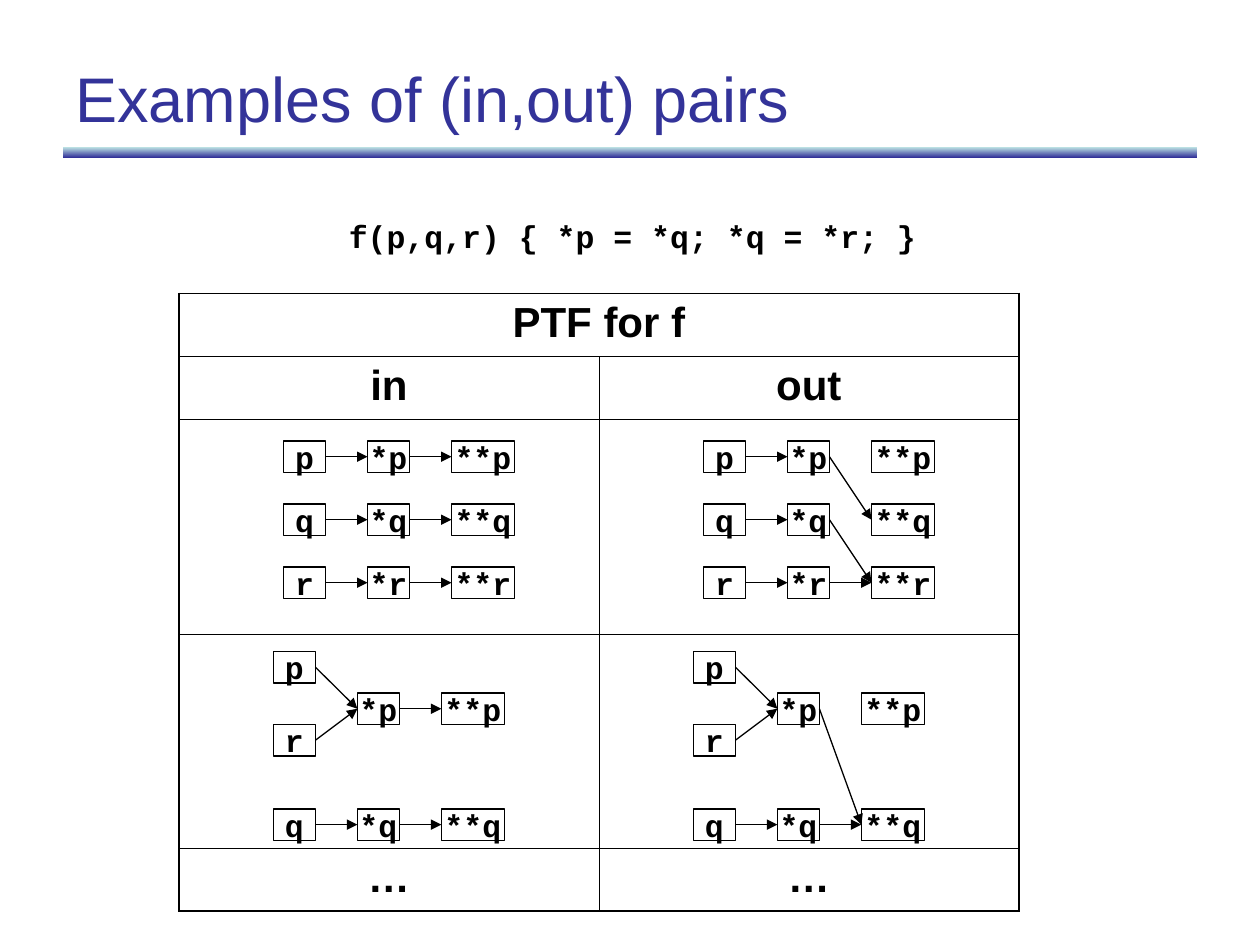
from dataclasses import dataclass

from lxml import etree
from pptx import Presentation
from pptx import util as u
from pptx.dml.color import RGBColor
from pptx.enum import shapes, text
from pptx.oxml.ns import qn

BLACK = "000000"
NAVY = "333399"
COL_PITCH = 2 / 3
CELL_WIDTH = 10 / 3
NODE_WIDTHS = (1 / 3, 1 / 3, 1 / 2)
NODE_HEIGHT = 0.25
ROW_HEIGHTS = (0.5, 0.5, 1.7, 1.7, 0.5)
TABLE_TEXT = (("PTF for f", ""), ("in", "out"), ("", ""), ("", ""), ("…", "…"))


@dataclass
class Diagram:
    left: float
    tops: dict[str, float]
    edges: tuple[str, ...]


def rgb(code: str) -> RGBColor:
    return RGBColor.from_string(code)


def style(p, size: float, font: str, color: str = BLACK, bold: bool = True) -> None:
    p.font.size = u.Pt(size)
    p.font.name = font
    p.font.bold = bold
    p.font.color.rgb = rgb(color)


def add_text(s, left: float, top: float, width: float, height: float, content: str):
    tf = s.shapes.add_textbox(*map(u.Inches, (left, top, width, height))).text_frame
    tf.word_wrap = True
    tf.text = content
    return tf


def add_rule(s) -> None:
    sp = s.shapes.add_shape(shapes.MSO_SHAPE.RECTANGLE, *map(u.Inches, (0.5, 1.17, 9, 0.08)))
    sp.shadow.inherit = False
    sp.line.fill.background()
    sp.fill.gradient()
    sp.fill.gradient_angle = 270
    for stop, color in zip(sp.fill.gradient_stops, ("BBE0E3", NAVY)):
        stop.color.rgb = rgb(color)


def set_borders(cell, **widths: float) -> None:
    tc_pr = cell._tc.get_or_add_tcPr()
    for side, width in widths.items():
        ln = etree.SubElement(tc_pr, qn(f"a:ln{side}"), w=str(u.Pt(width)))
        fill = etree.SubElement(ln, qn("a:solidFill"))
        etree.SubElement(fill, qn("a:srgbClr"), val=BLACK)


def add_ptf_table(s) -> None:
    rows, cols = len(ROW_HEIGHTS), 2
    size = (1.42, 2.33, cols * CELL_WIDTH, sum(ROW_HEIGHTS))
    table = s.shapes.add_table(rows, cols, *map(u.Inches, size)).table
    table.first_row = table.horz_banding = False
    for column in table.columns:
        column.width = u.Inches(CELL_WIDTH)
    for i, height in enumerate(ROW_HEIGHTS):
        table.rows[i].height = u.Inches(height)
        for j in range(cols):
            cell = table.cell(i, j)
            outer = {"L": j == 0, "R": j == cols - 1 or i == 0, "T": i == 0, "B": i == rows - 1}
            set_borders(cell, **{side: 1.08 if edge else 0.45 for side, edge in outer.items()})
            cell.fill.background()
            if TABLE_TEXT[i][j]:
                cell.text = TABLE_TEXT[i][j]
                p = cell.text_frame.paragraphs[0]
                p.alignment = text.PP_ALIGN.CENTER
                p.space_before = u.Pt(6)
                style(p, 24, "Arial")
    table.cell(0, 0).merge(table.cell(0, cols - 1))


def add_node(group, name: str, left: float, top: float):
    depth = name.count("*")
    sp = group.shapes.add_shape(
        shapes.MSO_SHAPE.RECTANGLE, u.Inches(left + depth * COL_PITCH), u.Inches(top),
        u.Inches(NODE_WIDTHS[depth]), u.Inches(NODE_HEIGHT))
    sp.shadow.inherit = False
    sp.fill.background()
    sp.line.color.rgb = rgb(BLACK)
    sp.line.width = u.Pt(0.75)
    tf = sp.text_frame
    tf.word_wrap = False
    tf.vertical_anchor = text.MSO_ANCHOR.MIDDLE
    p = tf.paragraphs[0]
    p.text = name
    p.alignment = text.PP_ALIGN.CENTER
    style(p, 18, "Courier New")
    return sp


def add_arrow(group, source, target) -> None:
    line = group.shapes.add_connector(shapes.MSO_CONNECTOR.STRAIGHT, 0, 0, 0, 0)
    line.begin_connect(source, 3)
    line.end_connect(target, 1)
    line.line.color.rgb = rgb(BLACK)
    line.line.width = u.Pt(0.75)
    etree.SubElement(line.line._get_or_add_ln(), qn("a:tailEnd"), type="triangle")
    etree.SubElement(line._element.spPr, qn("a:effectLst"))


def add_diagram(s, diagram: Diagram) -> None:
    group = s.shapes.add_group_shape()
    nodes = {name: add_node(group, name, diagram.left, top) for name, top in diagram.tops.items()}
    for edge in diagram.edges:
        source, target = edge.split()
        add_arrow(group, nodes[source], nodes[target])


def main() -> None:
    prs = Presentation()
    prs.slide_width, prs.slide_height = u.Inches(10), u.Inches(7.5)
    s = prs.slides.add_slide(prs.slide_layouts[6])

    add_rule(s)
    code = add_text(s, 2.67, 1.67, 5.25, 0.4, "f(p,q,r) { *p = *q; *q = *r; }")
    style(code.paragraphs[0], 18, "Courier New")
    add_ptf_table(s)

    distinct = {"*" * depth + name: 3.5 + 0.5 * row
                for row, name in enumerate("pqr") for depth in range(3)}
    aliased = {"p": 5.17, "r": 5.75, "*p": 5.5, "**p": 5.5,
               "q": 6.42, "*q": 6.42, "**q": 6.42}
    distinct_roots = ("p *p", "q *q", "r *r")
    aliased_roots = ("p *p", "r *p", "q *q")
    diagrams = (
        Diagram(2.25, distinct, distinct_roots + ("*p **p", "*q **q", "*r **r")),
        Diagram(2.25 + CELL_WIDTH, distinct, distinct_roots + ("*p **q", "*q **r", "*r **r")),
        Diagram(2.17, aliased, aliased_roots + ("*p **p", "*q **q")),
        Diagram(2.17 + CELL_WIDTH, aliased, aliased_roots + ("*p **q", "*q **q")),
    )
    for diagram in diagrams:
        add_diagram(s, diagram)

    title = add_text(s, 0.5, 0.3, 9, 0.95, "Examples of (in,out) pairs")
    title.vertical_anchor = text.MSO_ANCHOR.MIDDLE
    style(title.paragraphs[0], 36, "Arial", NAVY, bold=False)

    prs.save("out.pptx")


if __name__ == "__main__":
    main()
